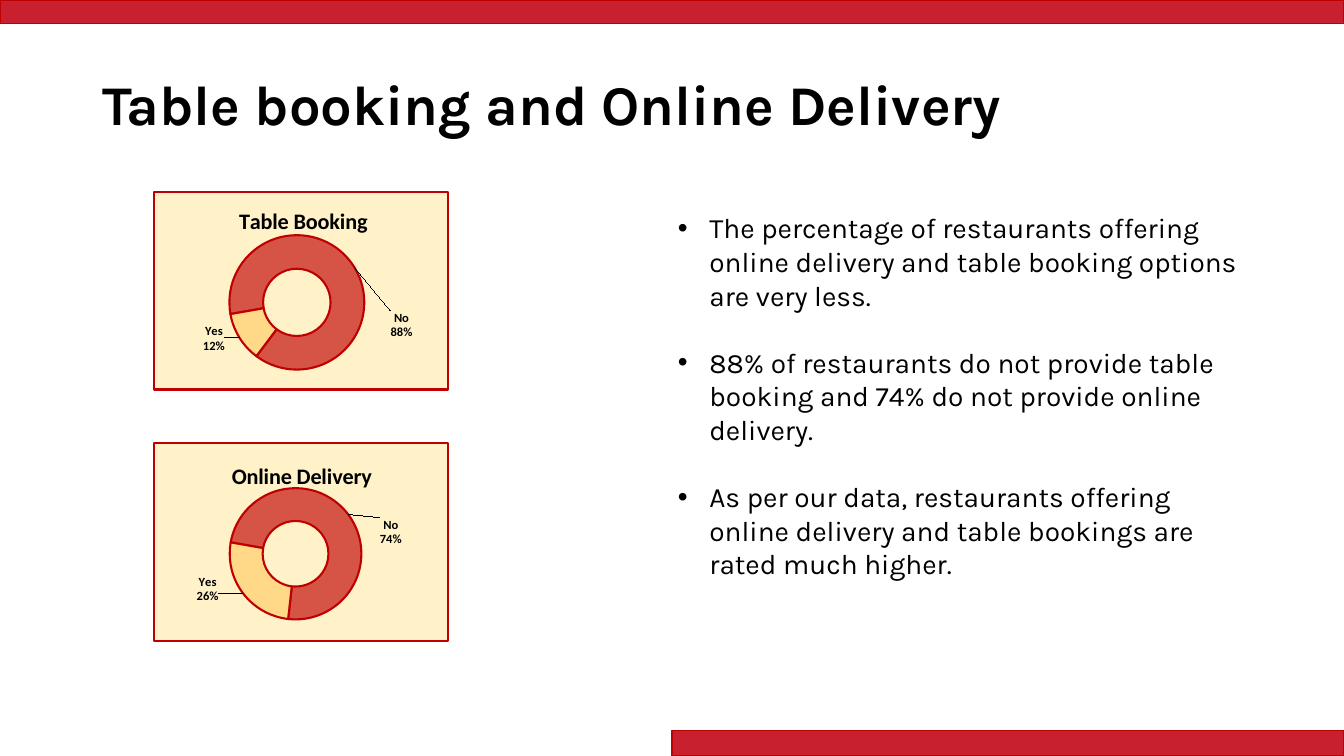
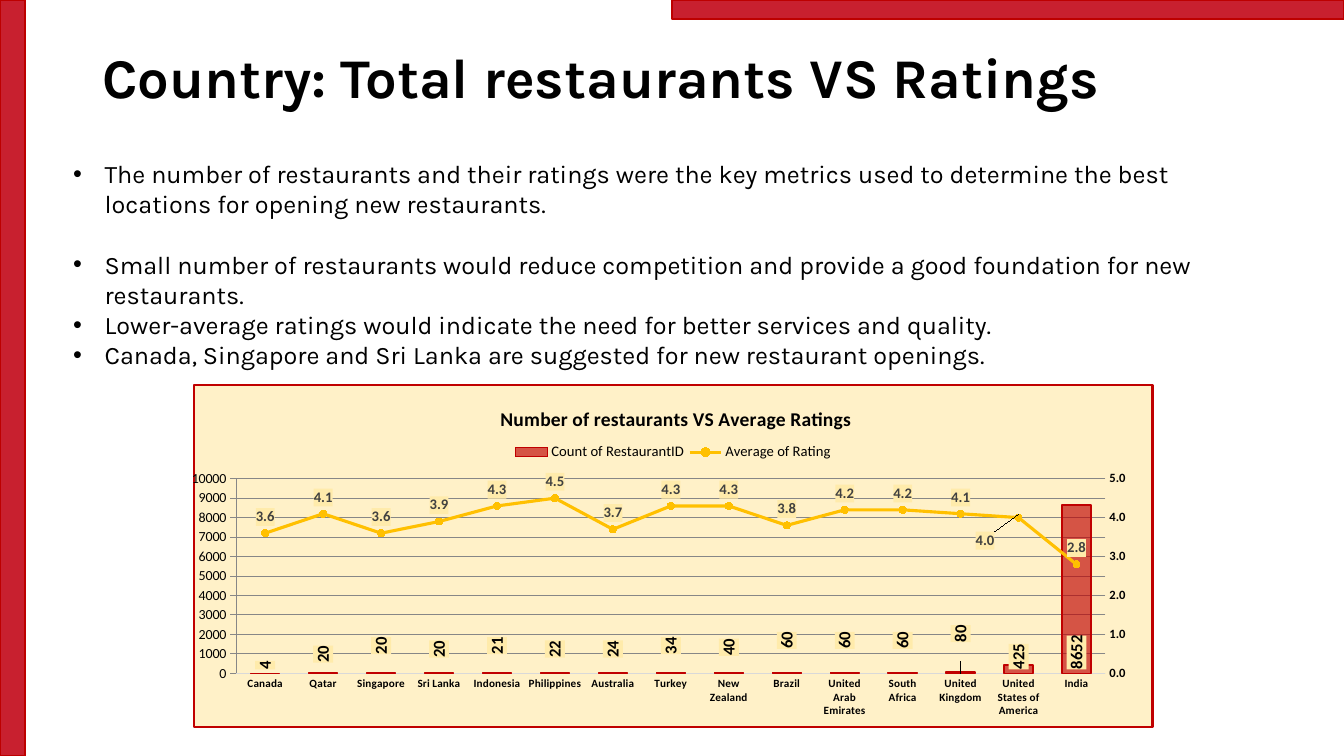
from copy import deepcopy
from dataclasses import dataclass

from pptx import Presentation
from pptx.chart import axis as ax
from pptx.chart.data import CategoryChartData
from pptx.dml.color import RGBColor
from pptx.enum import chart as ec, shapes as es, text as et
from pptx.oxml import parse_xml
from pptx.oxml.ns import nsdecls, qn
from pptx.util import Pt


@dataclass(frozen=True)
class Theme:
    face: str = "Karla"
    plain: str = "Calibri"
    ink: str = "000000"
    gray: str = "404040"
    band: str = "C8202F"
    rim: str = "BD0000"
    red: str = "C00000"
    sand: str = "FFCC66"
    cream: str = "FFEBAB"
    gold: str = "FFC000"
    grid: str = "D9D9D9"
    head: float = 40
    alpha: int = 65000


T = Theme()
NS = nsdecls("c", "a")


def rgb(code):
    return RGBColor.from_string(code)


def put(obj, **vals):
    for name, val in vals.items():
        setattr(obj, name, val)


def style(font, size, bold=False, color=T.ink, face=T.plain):
    put(font, size=Pt(size), bold=bold, name=face)
    font.color.rgb = rgb(color)


def paint(part, fill=None, line=None, width=1):
    if fill:
        part.fill.solid()
        part.fill.fore_color.rgb = rgb(fill)
    if line:
        part.line.color.rgb = rgb(line)
        part.line.width = Pt(width)


def move(shape, box):
    put(shape, **dict(zip(("left", "top", "width", "height"), map(Pt, box))))


# Slide parts

def add_band(slide, box):
    band = slide.shapes.add_shape(es.MSO_SHAPE.RECTANGLE, *map(Pt, box))
    band.shadow.inherit = False
    paint(band, T.band, T.rim)


def add_head(slide, words, top):
    head = slide.shapes.title
    move(head, (66, top, 828, 96))
    frame = head.text_frame
    put(frame, text=words, vertical_anchor=et.MSO_ANCHOR.MIDDLE,
        auto_size=et.MSO_AUTO_SIZE.NONE)
    para = frame.paragraphs[0]
    put(para, alignment=et.PP_ALIGN.LEFT, line_spacing=0.9)
    style(para.runs[0].font, T.head, True, face=T.face)


def add_list(slide, box, items, size, gaps):
    """Bulleted list; gaps holds the items followed by a line of space."""
    body = slide.placeholders[1]
    move(body, box)
    frame = body.text_frame
    put(frame, text="\n".join(items), auto_size=et.MSO_AUTO_SIZE.NONE)
    for i, para in enumerate(frame.paragraphs):
        put(para, space_before=Pt(0), line_spacing=1.0,
            space_after=Pt(1.2 * size if i in gaps else 0))
        props = para._p.get_or_add_pPr()
        props.set("marL", str(Pt(22.5)))
        props.set("indent", str(-Pt(22.5)))
        style(para.runs[0].font, size, face=T.face)


def start(deck, title, top, bands):
    slide = deck.slides.add_slide(deck.slide_layouts[1])
    add_head(slide, title, top)
    for box in bands:
        add_band(slide, box)
    return slide


# Chart parts

def place(node, at, x, y, w=None, h=None, edge=True, inner=False):
    """Give a chart part a manual layout, as child number at."""
    for old in node.findall(qn("c:layout")):
        node.remove(old)
    vals = [("layoutTarget", "inner")] if inner else []
    vals += [("xMode", "edge"), ("yMode", "edge")] if edge else []
    vals += [(k, v) for k, v in zip("xywh", (x, y, w, h)) if v is not None]
    tags = "".join(f'<c:{k} val="{v}"/>' for k, v in vals)
    node.insert(at, parse_xml(
        f"<c:layout {NS}><c:manualLayout>{tags}</c:manualLayout></c:layout>"))


def box_xml(line=""):
    return parse_xml(
        f'<c:spPr {NS}><a:solidFill><a:srgbClr val="{T.cream}"/></a:solidFill>'
        f"{line}</c:spPr>")


def add_chart(slide, kind, box, cats, series, title, size, spot):
    data = CategoryChartData()
    data.categories = cats
    for name, vals in series:
        data.add_series(name, vals)
    chart = slide.shapes.add_chart(kind, *map(Pt, box), data).chart
    style(chart.font, 10)
    put(chart, has_title=True, has_legend=False)
    frame = chart.chart_title.text_frame
    frame.text = title
    style(frame.paragraphs[0].runs[0].font, size, True)
    place(chart.chart_title._element, 1, *spot)
    line = (f'<a:ln w="{Pt(1.5)}"><a:solidFill><a:srgbClr val="{T.red}"/>'
            "</a:solidFill></a:ln>")
    chart._chartSpace.chart.addnext(box_xml(line))
    return chart


def soften(chart):
    """Make every area fill but the gold markers see-through."""
    for color in chart._chartSpace.xpath(".//c:spPr/a:solidFill/a:srgbClr"):
        if color.get("val") != T.gold:
            color.append(parse_xml(f'<a:alpha {NS} val="{T.alpha}"/>'))


def add_tags(series, size, color=T.ink, **vals):
    tags = series.data_labels
    style(tags.font, size, True, color)
    put(tags, number_format_is_linked=False, **vals)
    return tags._element


def shift(tags, moves):
    """Shift single data labels: index to (x, y) share of the chart."""
    base = [n for n in tags if n.tag != qn("c:showLeaderLines")]
    for at, (i, (x, y)) in enumerate(moves.items()):
        tag = parse_xml(f'<c:dLbl {NS}><c:idx val="{i}"/></c:dLbl>')
        tag.extend(deepcopy(base))
        place(tag, 1, x, y, edge=False)
        tags.insert(at, tag)


def add_ring(slide, box, title, vals, angle, spot, plot, moves):
    chart = add_chart(slide, ec.XL_CHART_TYPE.DOUGHNUT, box, ["No", "Yes"],
                      [("Series 1", vals)], title, 16, spot)
    area = chart._chartSpace.chart.plotArea
    place(area, 0, *plot, inner=True)
    area.xpath(".//c:firstSliceAng")[0].set("val", str(angle))
    area.xpath(".//c:holeSize")[0].set("val", "50")
    ring = chart.plots[0].series[0]
    for i, color in enumerate((T.red, T.sand)):
        paint(ring.points[i].format, color, T.red, 1.5)
    tags = add_tags(ring, 9, number_format="0%", show_value=False,
                    show_percentage=True, show_category_name=True)
    mark = parse_xml(f"<c:separator {NS}>\n</c:separator>")
    last = tags.xpath("c:showBubbleSize | c:showPercent")[-1]
    last.addnext(mark)
    shift(tags, moves)
    soften(chart)


def split_line(chart):
    """Turn the second column series into a line on a right-hand axis."""
    bars = chart._chartSpace.xpath(".//c:barChart")[0]
    ser = bars.findall(qn("c:ser"))[1]
    for old in ser.findall(qn("c:invertIfNegative")):
        ser.remove(old)
    line = parse_xml(
        f'<c:lineChart {NS}><c:grouping val="standard"/><c:varyColors val="0"/>'
        '<c:marker val="1"/><c:axId val="501"/><c:axId val="502"/></c:lineChart>')
    line.insert(2, ser)
    bars.addnext(line)
    right = parse_xml(
        f'<c:valAx {NS}><c:axId val="502"/><c:scaling/><c:delete val="0"/>'
        '<c:axPos val="r"/><c:numFmt formatCode="0.0" sourceLinked="0"/>'
        '<c:majorTickMark val="out"/><c:minorTickMark val="none"/>'
        '<c:tickLblPos val="nextTo"/><c:crossAx val="501"/>'
        '<c:crosses val="max"/><c:crossBetween val="between"/></c:valAx>')
    under = parse_xml(
        f'<c:catAx {NS}><c:axId val="501"/><c:scaling/><c:delete val="1"/>'
        '<c:axPos val="b"/><c:crossAx val="502"/><c:crosses val="autoZero"/>'
        "</c:catAx>")
    left = chart._chartSpace.xpath(".//c:valAx")[0]
    left.addnext(right)
    right.addnext(under)
    return ax.ValueAxis(right)


def add_combo(slide, box, title, cats, counts, rates):
    chart = add_chart(slide, ec.XL_CHART_TYPE.COLUMN_CLUSTERED, box, cats,
                      [("Count of RestaurantID", counts),
                       ("Average of Rating", rates)], title, 14, (0.316, 0.05))
    right = split_line(chart)
    place(chart._chartSpace.chart.plotArea, 0, 0.044, 0.275, 0.907, 0.569,
          inner=True)
    chart.has_legend = True
    put(chart.legend, position=ec.XL_LEGEND_POSITION.TOP, include_in_layout=False)
    style(chart.legend.font, 10.5)
    place(chart.legend._element, 1, 0.33, 0.16, 0.34, 0.075)

    none = ec.XL_TICK_MARK.NONE
    left, under = chart.value_axis, chart.category_axis
    for axis, top, unit in ((left, 500, 100), (right, 5, 1)):
        put(axis, minimum_scale=0, maximum_scale=top, major_unit=unit)
        style(axis.tick_labels.font, 9, True)
        axis.format.line.fill.background()
    left.major_tick_mark = under.major_tick_mark = none
    paint(left.major_gridlines.format, line=T.grid, width=0.75)
    paint(under.format, line=T.grid, width=0.75)
    style(under.tick_labels.font, 8, True)

    cols, line = chart.plots
    put(cols, gap_width=100, overlap=-27, vary_by_categories=False)
    bar, curve = cols.series[0], line.series[0]
    paint(bar.format, T.red, T.red)
    paint(curve.format, line=T.gold, width=2.25)
    put(curve, smooth=False)
    put(curve.marker, style=ec.XL_MARKER_STYLE.CIRCLE, size=5)
    paint(curve.marker.format, T.gold, T.gold)

    spot = ec.XL_LABEL_POSITION
    low = add_tags(bar, 12, number_format="0", show_value=True,
                   position=spot.INSIDE_BASE)
    turn = low.xpath(".//a:bodyPr")[0]
    turn.set("rot", "-5400000")
    turn.set("vert", "horz")
    high = add_tags(curve, 10.5, T.gray, number_format="0.0", show_value=True,
                    position=spot.ABOVE)
    for tags in (low, high):
        tags.xpath("c:txPr")[0].addprevious(box_xml())
    lifts = (2, 4.5, 3.5, 4.5, 3.5, 3.5, 4.5, 4, 6, 6, 6, 8)
    shift(low, {i: (0, -up / 100) for i, up in enumerate(lifts, 1)})
    shift(high, {13: (-0.035, 0.115)})
    soften(chart)


# Slides

def booking(deck):
    slide = start(deck, "Table booking and Online Delivery", 28.8,
                  [(480, 522, 480, 18), (0, 0, 960, 17)])
    add_list(slide, (477, 147, 416, 274), [
        "The percentage of restaurants offering online delivery and table booking options are very less.",
        "88% of restaurants do not provide table booking and 74% do not provide online delivery.",
        "As per our data, restaurants offering online delivery and table bookings are rated much higher.",
    ], 20, (0, 1))
    rings = (
        ("Table Booking", (88, 12), 260, (0.275, 0.05),
         (0.256, 0.203, 0.46, 0.712), {0: (0.21, 0.25), 1: (-0.136, 0.05)}),
        ("Online Delivery", (74, 26), 280, (0.25, 0.07),
         (0.257, 0.211, 0.449, 0.697), {0: (0.19, 0.04), 1: (-0.165, 0.03)}),
    )
    for i, ring in enumerate(rings):
        add_ring(slide, (109.5, 136.5 + 179.5 * i, 211, 142.5), *ring)


def country(deck):
    slide = start(deck, "Country: Total restaurants VS Ratings", 9.4,
                  [(480, 0, 480, 13.5), (0, 0, 18, 540)])
    add_list(slide, (45, 109.5, 869, 160), [
        "The number of restaurants and their ratings were the key metrics used to determine the best locations for opening new restaurants.",
        "Small number of restaurants would reduce competition and provide a good foundation for new restaurants.",
        "Lower-average ratings would indicate the need for better services and quality.",
        "Canada, Singapore and Sri Lanka are suggested for new restaurant openings.",
    ], 18, (0,))
    rows = (
        ("Canada", 4, 3.6), ("Qatar", 20, 4.1), ("Singapore", 20, 3.6),
        ("Sri Lanka", 20, 3.9), ("Indonesia", 21, 4.3),
        ("Philippines", 22, 4.5), ("Australia", 24, 3.7), ("Turkey", 34, 4.3),
        ("New Zealand", 40, 4.3), ("Brazil", 60, 3.8),
        ("United Arab Emirates", 60, 4.2), ("South Africa", 60, 4.2),
        ("United Kingdom", 80, 4.1), ("United States of America", 425, 4.0),
        ("India", 8652, 2.8),
    )
    add_combo(slide, (137, 274, 687, 246),
              "Number of restaurants VS Average Ratings", *zip(*rows))


def main():
    deck = Presentation()
    put(deck, slide_width=Pt(960), slide_height=Pt(540))
    booking(deck)
    country(deck)
    deck.save("out.pptx")


if __name__ == "__main__":
    main()
